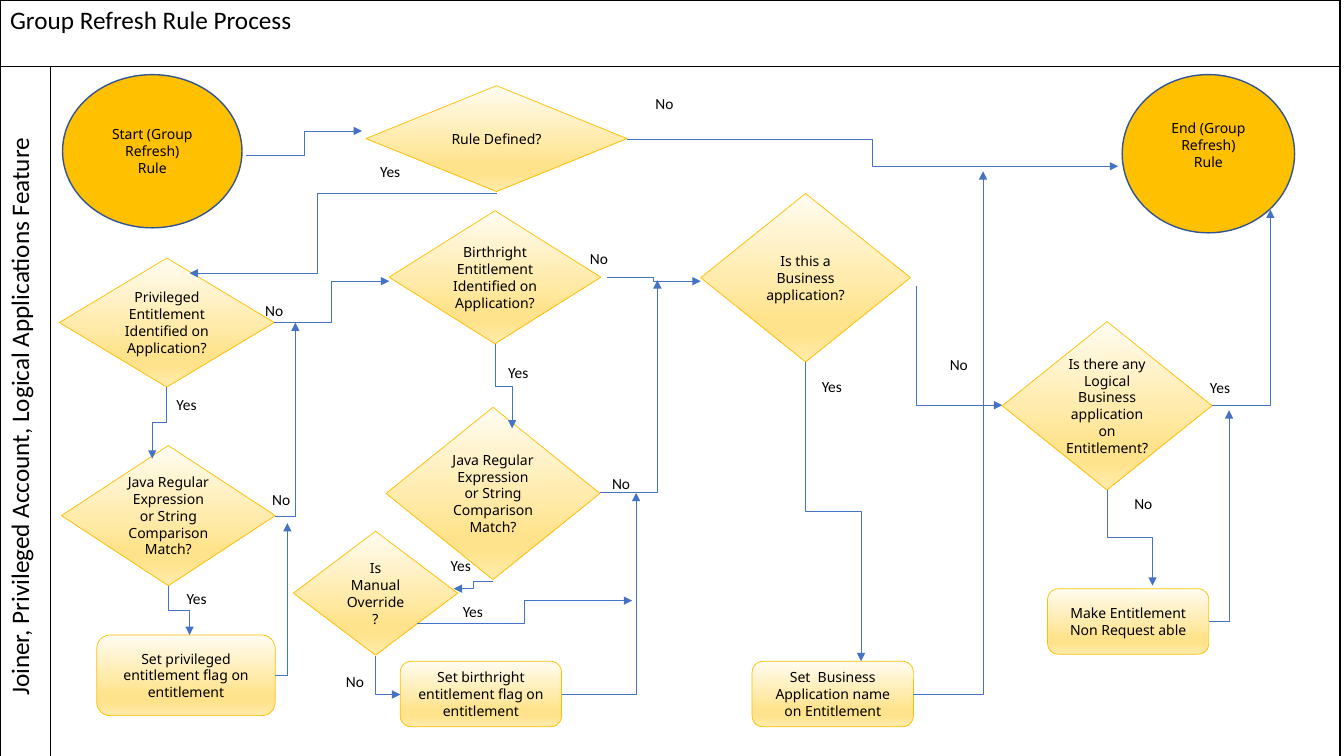
import pptx
import pptx.util
import pptx.dml.color
import pptx.enum.shapes
import pptx.enum.text
import pptx.oxml
import pptx.oxml.ns

Inches = pptx.util.Inches
Pt = pptx.util.Pt
RGBColor = pptx.dml.color.RGBColor
Shape = pptx.enum.shapes.MSO_SHAPE
Align = pptx.enum.text.PP_ALIGN
Anchor = pptx.enum.text.MSO_ANCHOR
qn = pptx.oxml.ns.qn

BLACK = RGBColor(0x00, 0x00, 0x00)
GOLD = RGBColor(0xFF, 0xC0, 0x00)
NAVY = RGBColor(0x32, 0x54, 0x91)
BLUE = RGBColor(0x44, 0x72, 0xC4)
CREAM = RGBColor(0xFF, 0xFC, 0xF2)
SAND = RGBColor(0xFF, 0xEB, 0xAC)
AMBER = RGBColor(0xFF, 0xE3, 0x8C)
GRADIENT = [(0, CREAM), (51, SAND), (74, AMBER), (83, AMBER), (100, SAND)]

NODE_TEXT = {"size": Pt(10), "name": "Noto Sans"}
LABEL_TEXT = {"size": Pt(11), "name": "Calibri"}
LANE_TEXT = {"size": Pt(18), "name": "Calibri"}

TERMINALS = [
    ((0.62, 0.74, 1.78, 1.52), "Start (Group Refresh)\nRule", 0.05),
    ((11.13, 0.74, 1.71, 1.57), "End (Group Refresh)\nRule", 0.22),
]
MATCH = "Java Regular Expression or String Comparison Match?"
DECISIONS = [
    ((3.63, 0.85, 2.59, 1.05), "Rule Defined?"),
    ((3.86, 2.09, 2.1, 1.32), "Birthright Entitlement Identified on Application?"),
    ((0.59, 2.56, 2.13, 1.28), "Privileged Entitlement Identified on Application?"),
    ((6.95, 1.92, 2.08, 1.67), "Is this a Business application?"),
    ((0.61, 4.42, 2.12, 1.39), MATCH),
    ((3.83, 4.04, 2.12, 1.71), MATCH),
    ((9.94, 3.19, 2.08, 1.67),
     "Is there any Logical Business application on Entitlement?"),
    ((2.91, 5.27, 1.63, 1.23), "Is Manual Override?"),
]
ACTIONS = [
    ((0.96, 6.3, 1.77, 0.8), "Set privileged entitlement flag on entitlement"),
    ((3.97, 6.56, 1.6, 0.65), "Set birthright entitlement flag on entitlement"),
    ((7.46, 6.56, 1.6, 0.65), "Set  Business Application name on Entitlement"),
    ((10.39, 5.84, 1.6, 0.65), "Make Entitlement Non Request able"),
]
# Route letters give the order of horizontal (H) and vertical (V) legs.
ARROWS = {
    "HVH": [
        ((2.44, 1.54), (3.59, 1.3)), ((6.22, 1.38), (11.09, 1.65)),
        ((4.93, 1.92), (1.88, 2.71), 0.585), ((2.72, 3.2), (3.86, 2.79)),
        ((6.02, 2.75), (6.95, 2.79)), ((4.89, 5.77), (4.5, 5.84)),
        ((4.14, 6.19), (6.27, 5.96)),
    ],
    "VHV": [
        ((1.65, 3.84), (1.51, 4.55)), ((1.67, 5.81), (1.88, 6.3)),
        ((4.91, 3.41), (5.08, 4.25)), ((7.99, 3.59), (8.54, 6.56)),
        ((10.98, 4.86), (11.43, 5.81)),
    ],
    "HV": [
        ((2.73, 5.12), (2.93, 3.2)), ((5.95, 4.89), (6.52, 2.78)),
        ((2.73, 6.7), (2.85, 5.19)), ((5.57, 6.89), (6.31, 4.89)),
        ((12.02, 4.02), (12.6, 2.08)), ((11.99, 6.16), (12.19, 4.07)),
        ((9.06, 6.89), (9.75, 1.7)),
    ],
    "VH": [((9.09, 2.84), (9.94, 4.02)), ((3.72, 6.51), (3.97, 6.89))],
}
# Centres of the answer labels
ANSWERS = {
    "Yes": [(1.85, 4.01), (1.95, 5.94), (5.14, 3.69), (4.57, 5.61), (8.25, 3.83),
            (3.87, 1.7), (12.1, 3.84), (4.69, 6.07)],
    "No": [(2.72, 3.08), (5.94, 2.56), (6.16, 4.8), (2.79, 4.95), (6.59, 1.03),
           (9.51, 3.61), (11.34, 4.99), (3.52, 6.76)],
}


def add_xml(parent, tag, **attributes):
    child = parent.makeelement(qn(tag), attributes)
    parent.append(child)
    return child


class FlowPage:
    """Draws flow chart elements on one slide in a shared style."""

    def __init__(self, deck):
        self.page = deck.slides.add_slide(deck.slide_layouts[6])

    def set_text(self, frame, text, style, align=Align.CENTER):
        frame.word_wrap = True
        frame.text = text
        for para in frame.paragraphs:
            para.alignment = align
            for span in para.runs:
                for name, value in style.items():
                    setattr(span.font, name, value)
                span.font.color.rgb = BLACK

    def swimlane(self, title, lane):
        table = self.page.shapes.add_table(
            2, 2, 0, 0, Inches(13.29), Inches(7.61)).table
        table.first_row = table.horz_banding = False
        for column, width in zip(table.columns, (0.5, 12.79)):
            column.width = Inches(width)
        for row, height in zip(table.rows, (0.66, 6.95)):
            row.height = Inches(height)
        table.cell(0, 0).merge(table.cell(0, 1))
        self.set_text(table.cell(0, 0).text_frame, title, LANE_TEXT, Align.LEFT)
        self.set_text(table.cell(1, 0).text_frame, lane, LANE_TEXT)
        for cell in table.iter_cells():
            props = cell._tc.get_or_add_tcPr()
            for side in ("a:lnL", "a:lnR", "a:lnT", "a:lnB"):
                border = add_xml(props, side, w=str(Pt(1)))
                fill = add_xml(border, "a:solidFill")
                add_xml(fill, "a:srgbClr", val=str(BLACK))
            cell.fill.background()
        # The lane name reads upwards; its cell keeps only a vertical direction.
        table.cell(1, 0)._tc.get_or_add_tcPr().set("vert", "vert270")

    def node(self, kind, box, text, line, width):
        shape = self.page.shapes.add_shape(kind, *map(Inches, box))
        shape.shadow.inherit = False
        shape.line.color.rgb = line
        shape.line.width = Pt(width)
        shape.text_frame.vertical_anchor = Anchor.MIDDLE
        self.set_text(shape.text_frame, text, NODE_TEXT)
        return shape

    def terminal(self, box, text, bottom_margin):
        shape = self.node(Shape.OVAL, box, text, NAVY, 1)
        shape.fill.solid()
        shape.fill.fore_color.rgb = GOLD
        shape.text_frame.margin_bottom = Inches(bottom_margin)

    def step(self, kind, box, text):
        """Add a decision or action with the cream to amber gradient."""
        shape = self.node(kind, box, text, GOLD, 0.5)
        shape.fill.gradient()
        shape.fill.gradient_angle = 270
        stops = shape._element.spPr.find(".//" + qn("a:gsLst"))
        for stop in list(stops):
            stops.remove(stop)
        for position, color in GRADIENT:
            stop = add_xml(stops, "a:gs", pos=str(position * 1000))
            add_xml(stop, "a:srgbClr", val=str(color))

    def arrow(self, route, start, end, bend=0.5):
        """Add an elbow arrow; routes that begin vertically are turned."""
        (x1, y1), (x2, y2) = start, end
        turn = 0
        if route.startswith("V"):
            turn = 270 if x2 > x1 else 90
            side = 1 if turn == 270 else -1
            middle_x, middle_y = (x1 + x2) / 2, (y1 + y2) / 2
            half_w, half_h = abs(y2 - y1) / 2, abs(x2 - x1) / 2
            x1, x2 = middle_x + side * half_w, middle_x - side * half_w
            y1, y2 = middle_y - half_h, middle_y + half_h
        connector = self.page.shapes.add_connector(
            pptx.enum.shapes.MSO_CONNECTOR.ELBOW, *map(Inches, (x1, y1, x2, y2)))
        connector.line.color.rgb = BLUE
        connector.line.width = Pt(0.5)
        props = connector._element.spPr
        if turn:
            props.find(qn("a:xfrm")).set("rot", str(turn * 60000))
        geometry = props.find(qn("a:prstGeom"))
        geometry.set("prst", f"bentConnector{len(route)}")
        if len(route) == 3:
            add_xml(geometry.find(qn("a:avLst")), "a:gd", name="adj1",
                    fmla=f"val {round(bend * 100000)}")
        add_xml(props.find(qn("a:ln")), "a:tailEnd", type="triangle")
        add_xml(props, "a:effectLst")

    def answer(self, text, x, y):
        width, height = 0.55, 0.44
        label = self.page.shapes.add_textbox(
            *map(Inches, (x - width / 2, y - height / 2, width, height)))
        label.text_frame.vertical_anchor = Anchor.MIDDLE
        self.set_text(label.text_frame, text, LABEL_TEXT)


def main():
    deck = pptx.Presentation()
    deck.slide_width, deck.slide_height = Inches(13.33), Inches(7.5)
    flow = FlowPage(deck)
    flow.swimlane("Group Refresh Rule Process",
                  "Joiner, Privileged Account, Logical Applications Feature")
    for terminal in TERMINALS:
        flow.terminal(*terminal)
    for kind, steps in ((Shape.DIAMOND, DECISIONS), (Shape.ROUNDED_RECTANGLE, ACTIONS)):
        for box, text in steps:
            flow.step(kind, box, text)
    for route, arrows in ARROWS.items():
        for arrow in arrows:
            flow.arrow(route, *arrow)
    for text, centres in ANSWERS.items():
        for x, y in centres:
            flow.answer(text, x, y)
    deck.save("out.pptx")


if __name__ == "__main__":
    main()
